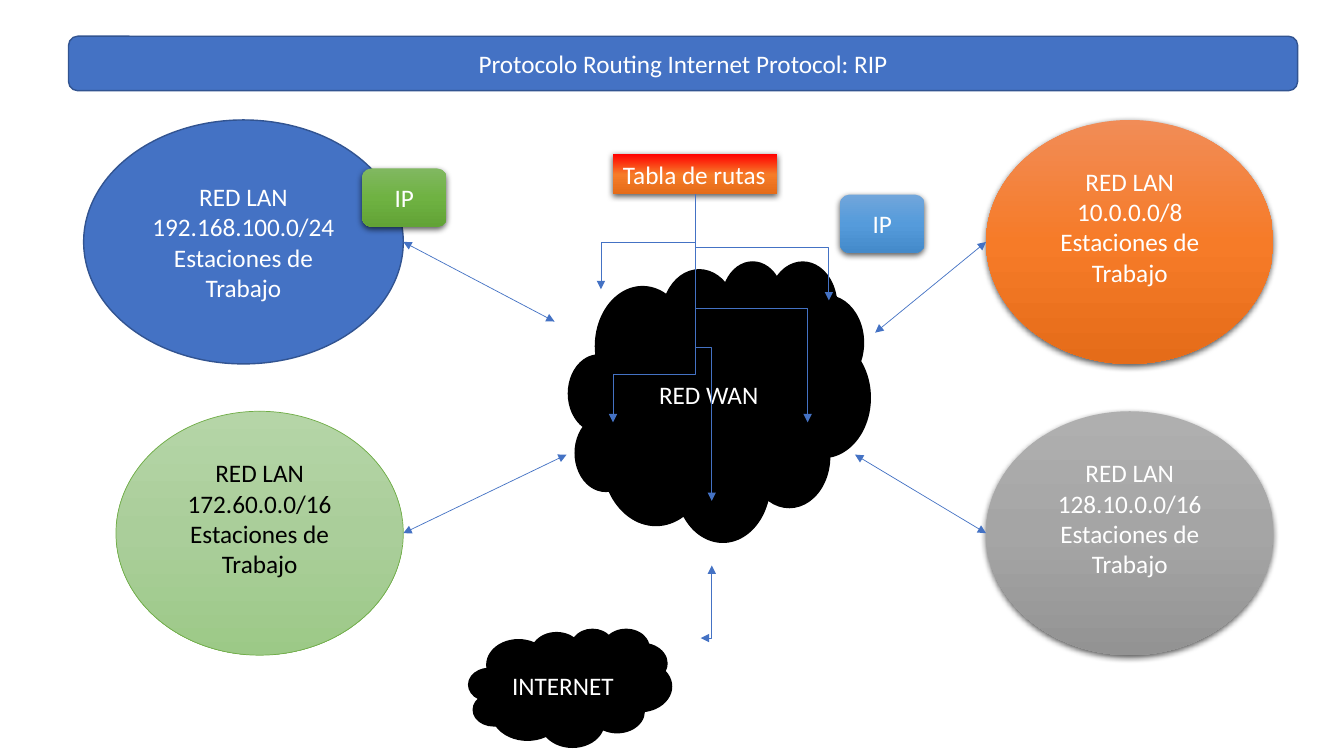
from lxml import etree
from pptx import Presentation
from pptx.dml.color import RGBColor
from pptx.enum.shapes import MSO_CONNECTOR as Link, MSO_SHAPE as Kind
from pptx.enum.text import MSO_ANCHOR as Anchor, MSO_AUTO_SIZE as Fit, PP_ALIGN as Align
from pptx.oxml.ns import qn
from pptx.util import Inches, Pt

BLUE = RGBColor(0x44, 0x72, 0xC4)
NAVY = RGBColor(0x32, 0x54, 0x91)
LEAF = RGBColor(0x70, 0xAD, 0x47)
BLACK = RGBColor(0, 0, 0)
WHITE = RGBColor(255, 255, 255)
RED = RGBColor(255, 0, 0)
PEACH = RGBColor(0xF1, 0x8C, 0x57)
ORANGE = RGBColor(0xF6, 0x7B, 0x28)
RUST = RGBColor(0xE5, 0x6C, 0x19)
GRAYS = [RGBColor(v, v, v) for v in (0xAF, 0xA5, 0x93)]
MINTS = [RGBColor(0xB5, 0xD5, 0xA7), RGBColor(0xAA, 0xCE, 0x9A), RGBColor(0x9C, 0xC9, 0x87)]
SKIES = [RGBColor(0x71, 0xA6, 0xDB), RGBColor(0x55, 0x9B, 0xDB), RGBColor(0x44, 0x8A, 0xCA)]
GREENS = [RGBColor(0x81, 0xB8, 0x61), RGBColor(0x6F, 0xB2, 0x42), RGBColor(0x62, 0xA3, 0x36)]

TITLE = "Protocolo Routing Internet Protocol: RIP"
BAR = (0.68, 0.36, 12.19, 0.54)
HOSTS = "Estaciones de Trabajo"
LANS = [
    ("192.168.100.0/24", (0.83, 1.19, 3.17, 2.42), [BLUE], (NAVY, 1), WHITE, 0.05),
    ("10.0.0.0/8", (9.78, 1.19, 2.85, 2.42), [PEACH, ORANGE, RUST], None, WHITE, 0.35),
    ("128.10.0.0/16", (9.78, 4.08, 2.85, 2.42), GRAYS, None, WHITE, 0.35),
    ("172.60.0.0/16", (1.15, 4.08, 2.85, 2.42), MINTS, (LEAF, 0.5), BLACK, 0.35),
]
CLOUDS = [("RED WAN", (5.64, 2.59, 2.99, 2.78)), ("INTERNET", (4.65, 6.24, 2.01, 1.17))]
TAGS = [((8.33, 1.93, 0.84, 0.58), SKIES), ((3.59, 1.67, 0.84, 0.58), GREENS)]
TABLE = (6.08, 1.53, 1.63, 0.4)
LINKS = [
    ((4, 2.4), (5.5, 3.19)),
    ((9.78, 2.4), (8.68, 3.3)),
    ((9.78, 5.29), (8.48, 4.51)),
    ((4, 5.29), (5.62, 4.51)),
]
HUB = (6.9, 1.93)
ROUTES = [
    ((5.96, 2.87), 0.5),
    ((8.22, 2.98), 0.5),
    ((8.01, 4.19), 0.5),
    ((6.08, 4.19), 0.79),
    ((7.06, 4.97), 0.5),
]
UPLINK = ((7.06, 5.61), (6.95, 6.33))


def write(shape, lines, color):
    frame = shape.text_frame
    frame.word_wrap = True
    frame.vertical_anchor = Anchor.MIDDLE
    for i, line in enumerate(lines):
        para = frame.add_paragraph() if i else frame.paragraphs[0]
        para.alignment = Align.CENTER
        run = para.add_run()
        run.text = line
        run.font.size = Pt(18)
        run.font.name = "Calibri"
        run.font.color.rgb = color
    return frame


def blend(shape, colors):
    grad = etree.Element(qn("a:gradFill"), rotWithShape="1")
    stops = etree.SubElement(grad, qn("a:gsLst"))
    for i, color in enumerate(colors):
        stop = etree.SubElement(stops, qn("a:gs"), pos=str(i * 50000))
        etree.SubElement(stop, qn("a:srgbClr"), val=str(color))
    etree.SubElement(grad, qn("a:lin"), ang="5400000", scaled="0")
    shape._element.spPr.find(qn("a:prstGeom")).addnext(grad)


def shade(shape):
    effects = shape._element.spPr.find(qn("a:effectLst"))
    drop = etree.SubElement(effects, qn("a:outerShdw"), blurRad=str(Pt(4.5)), dist=str(Pt(1.5)),
                            dir="5400000", algn="ctr", rotWithShape="0")
    tint = etree.SubElement(drop, qn("a:srgbClr"), val="000000")
    etree.SubElement(tint, qn("a:alpha"), val="63000")


def paint(shape, colors, edge):
    if len(colors) > 1:
        blend(shape, colors)
    else:
        shape.fill.solid()
        shape.fill.fore_color.rgb = colors[0]
    if edge:
        shape.line.color.rgb, shape.line.width = edge[0], Pt(edge[1])
    else:
        shape.line.fill.background()
        shade(shape)


def add(slide, kind, box, colors, edge, lines=(), color=WHITE):
    shape = slide.shapes.add_shape(kind, *map(Inches, box))
    shape.shadow.inherit = False
    paint(shape, colors, edge)
    write(shape, lines, color)
    return shape


def head(slide):
    bar = add(slide, Kind.ROUNDED_RECTANGLE, BAR, [BLUE], (NAVY, 1))
    title = slide.shapes.title
    title.left, title.top, title.width, title.height = map(Inches, BAR)
    write(title, [TITLE], WHITE).auto_size = Fit.NONE
    bar._element.addnext(title._element)


def join(slide, kind, start, end, both):
    line = slide.shapes.add_connector(kind, *map(Inches, start + end))
    line.line.color.rgb = BLUE
    line.line.width = Pt(0.5)
    stroke = line.line._get_or_add_ln()
    for tag in ("a:headEnd", "a:tailEnd") if both else ("a:tailEnd",):
        etree.SubElement(stroke, qn(tag), type="triangle")
    props = line._element.spPr
    etree.SubElement(props, qn("a:effectLst"))
    return props


def bend(slide, start, end, both=False):
    """Draw an elbow connector that leaves its start vertically."""
    (x1, y1), (x2, y2) = start, end
    mid, row = (x1 + x2) / 2, (y1 + y2) / 2
    high, half = (y2 - y1) / 2, abs(x2 - x1) / 2
    way = 1 if x2 < x1 else -1
    props = join(slide, Link.ELBOW, (mid - way * high, row - half), (mid + way * high, row + half), both)
    props.find(qn("a:xfrm")).set("rot", "5400000" if way > 0 else "16200000")
    return props.find(qn("a:prstGeom"))


def main():
    deck = Presentation()
    deck.slide_width, deck.slide_height = Inches(13.33), Inches(7.5)
    slide = deck.slides.add_slide(deck.slide_layouts[5])
    head(slide)
    for net, box, colors, edge, color, low in LANS:
        lan = add(slide, Kind.OVAL, box, colors, edge, ["RED LAN", net, HOSTS], color)
        lan.text_frame.margin_bottom = Inches(low)
    for name, box in CLOUDS:
        add(slide, Kind.CLOUD, box, [BLACK], (BLACK, 1), [name])
    for box, colors in TAGS:
        add(slide, Kind.ROUNDED_RECTANGLE, box, colors, None, ["IP"])
    table = add(slide, Kind.RECTANGLE, TABLE, [RED, ORANGE, RUST], None, ["Tabla de rutas"])
    frame = table.text_frame
    frame.word_wrap = False
    frame.vertical_anchor = Anchor.TOP
    frame.auto_size = Fit.SHAPE_TO_FIT_TEXT
    frame.paragraphs[0].alignment = Align.LEFT
    for start, end in LINKS:
        join(slide, Link.STRAIGHT, start, end, True)
    bend(slide, *UPLINK, True).set("prst", "bentConnector2")
    for end, turn in ROUTES:
        guides = bend(slide, HUB, end).find(qn("a:avLst"))
        etree.SubElement(guides, qn("a:gd"), name="adj1", fmla=f"val {round(turn * 100000)}")
    deck.save("out.pptx")


if __name__ == "__main__":
    main()
